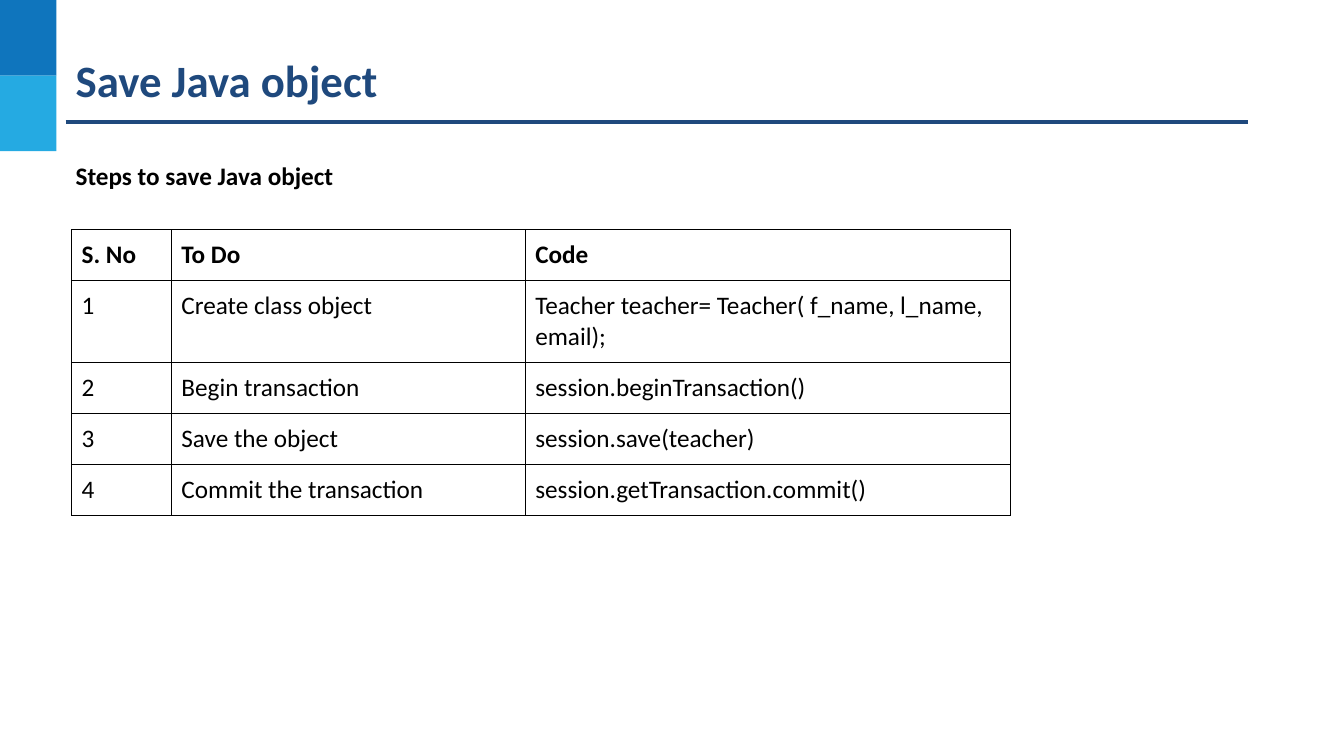
import pptx
import pptx.dml.color
import pptx.enum.shapes
import pptx.enum.text
import pptx.oxml
import pptx.oxml.ns
import pptx.util
from dataclasses import dataclass

TITLE = "Save Java object"
SUBTITLE = "Steps to save Java object"
HEADERS = ("S. No", "To Do", "Code")
STEPS = [
    ("Create class object", "Teacher teacher= Teacher( f_name, l_name, email);"),
    ("Begin transaction", "session.beginTransaction()"),
    ("Save the object", "session.save(teacher)"),
    ("Commit the transaction", "session.getTransaction.commit()"),
]


@dataclass(frozen=True)
class Theme:
    font: str = "Calibri"
    title_size: int = 32
    body_size: int = 18
    heading: str = "1F497D"
    text: str = "000000"
    bands: tuple = ("0F75BD", "25AAE2")
    rule_width: float = 2.25
    border_width: float = 0.75


theme = Theme()
inches = pptx.util.Inches
SLIDE_WIDTH, SLIDE_HEIGHT = 13.33, 7.5
BAND_WIDTH, BAND_HEIGHT = 0.56, SLIDE_HEIGHT / 10
LEFT, TEXT_WIDTH = 0.65, 11.22
RULE_TOP, RULE_RIGHT = 1.21, 12.38
TABLE_LEFT, TABLE_TOP = 0.71, 2.28
COLUMN_WIDTHS = (0.99, 3.51, 4.81)
ROW_HEIGHTS = (0.5, 0.8, 0.5, 0.5, 0.5)
INSET = 0.1


def rgb(value):
    return pptx.dml.color.RGBColor.from_string(value)


def write(frame, text, size, color, bold):
    frame.text = text
    for run in frame.paragraphs[0].runs:
        run.font.name = theme.font
        run.font.size = pptx.util.Pt(size)
        run.font.color.rgb = rgb(color)
        run.font.bold = bold


def set_margins(box, horizontal, vertical):
    box.margin_left = box.margin_right = inches(horizontal)
    box.margin_top = box.margin_bottom = inches(vertical)


def place_text(shape, top, height, text, size, color, vertical_inset, anchor):
    shape.left, shape.top = inches(LEFT), inches(top)
    shape.width, shape.height = inches(TEXT_WIDTH), inches(height)
    frame = shape.text_frame
    write(frame, text, size, color, True)
    set_margins(frame, INSET, vertical_inset)
    frame.word_wrap = True
    frame.auto_size = pptx.enum.text.MSO_AUTO_SIZE.NONE
    frame.vertical_anchor = anchor
    paragraph = frame.paragraphs[0]
    paragraph.alignment = pptx.enum.text.PP_ALIGN.LEFT
    paragraph.space_before = pptx.util.Pt(0)
    return paragraph


def remove_bullet(paragraph):
    properties = paragraph._p.get_or_add_pPr()
    properties.set("marL", "0")
    properties.set("indent", "0")
    properties.append(pptx.oxml.parse_xml(f"<a:buNone {pptx.oxml.ns.nsdecls('a')}/>"))


def add_borders(cell):
    properties = cell._tc.get_or_add_tcPr()
    width = int(pptx.util.Pt(theme.border_width))
    for side in ("lnL", "lnR", "lnT", "lnB"):
        properties.append(pptx.oxml.parse_xml(
            f'<a:{side} {pptx.oxml.ns.nsdecls("a")} w="{width}"><a:solidFill>'
            f'<a:srgbClr val="{theme.text}"/></a:solidFill></a:{side}>'))


def add_bands(slide):
    for index, color in enumerate(theme.bands):
        band = slide.shapes.add_shape(
            pptx.enum.shapes.MSO_SHAPE.RECTANGLE, 0, inches(index * BAND_HEIGHT),
            inches(BAND_WIDTH), inches(BAND_HEIGHT))
        band.shadow.inherit = False
        band.fill.solid()
        band.fill.fore_color.rgb = rgb(color)
        band.line.fill.background()


def add_steps_table(slide):
    rows = [HEADERS] + [(str(number), *step) for number, step in enumerate(STEPS, 1)]
    table = slide.shapes.add_table(
        len(rows), len(HEADERS), inches(TABLE_LEFT), inches(TABLE_TOP),
        inches(sum(COLUMN_WIDTHS)), inches(sum(ROW_HEIGHTS))).table
    table.first_row = table.horz_banding = False
    for column, width in zip(table.columns, COLUMN_WIDTHS):
        column.width = inches(width)
    for row_index, values in enumerate(rows):
        table.rows[row_index].height = inches(ROW_HEIGHTS[row_index])
        for column_index, value in enumerate(values):
            cell = table.cell(row_index, column_index)
            write(cell.text_frame, value, theme.body_size, theme.text, row_index == 0)
            set_margins(cell, INSET, INSET)
            add_borders(cell)
            cell.fill.background()


def add_rule(slide):
    rule = slide.shapes.add_connector(
        pptx.enum.shapes.MSO_CONNECTOR.STRAIGHT, inches(LEFT), inches(RULE_TOP),
        inches(RULE_RIGHT), inches(RULE_TOP))
    rule.line.color.rgb = rgb(theme.heading)
    rule.line.width = pptx.util.Pt(theme.rule_width)
    rule._element.spPr.append(
        pptx.oxml.parse_xml(f"<a:effectLst {pptx.oxml.ns.nsdecls('a')}/>"))


def main():
    presentation = pptx.Presentation()
    presentation.slide_width = inches(SLIDE_WIDTH)
    presentation.slide_height = inches(SLIDE_HEIGHT)
    slide = presentation.slides.add_slide(presentation.slide_layouts[1])
    anchors = pptx.enum.text.MSO_ANCHOR
    add_bands(slide)
    place_text(slide.shapes.title, 0.47, 0.64, TITLE, theme.title_size,
               theme.heading, INSET / 2, anchors.MIDDLE)
    subtitle = place_text(slide.placeholders[1], 1.49, 0.5, SUBTITLE, theme.body_size,
                          theme.text, INSET, anchors.TOP)
    remove_bullet(subtitle)
    add_steps_table(slide)
    add_rule(slide)
    presentation.save("out.pptx")


if __name__ == "__main__":
    main()
